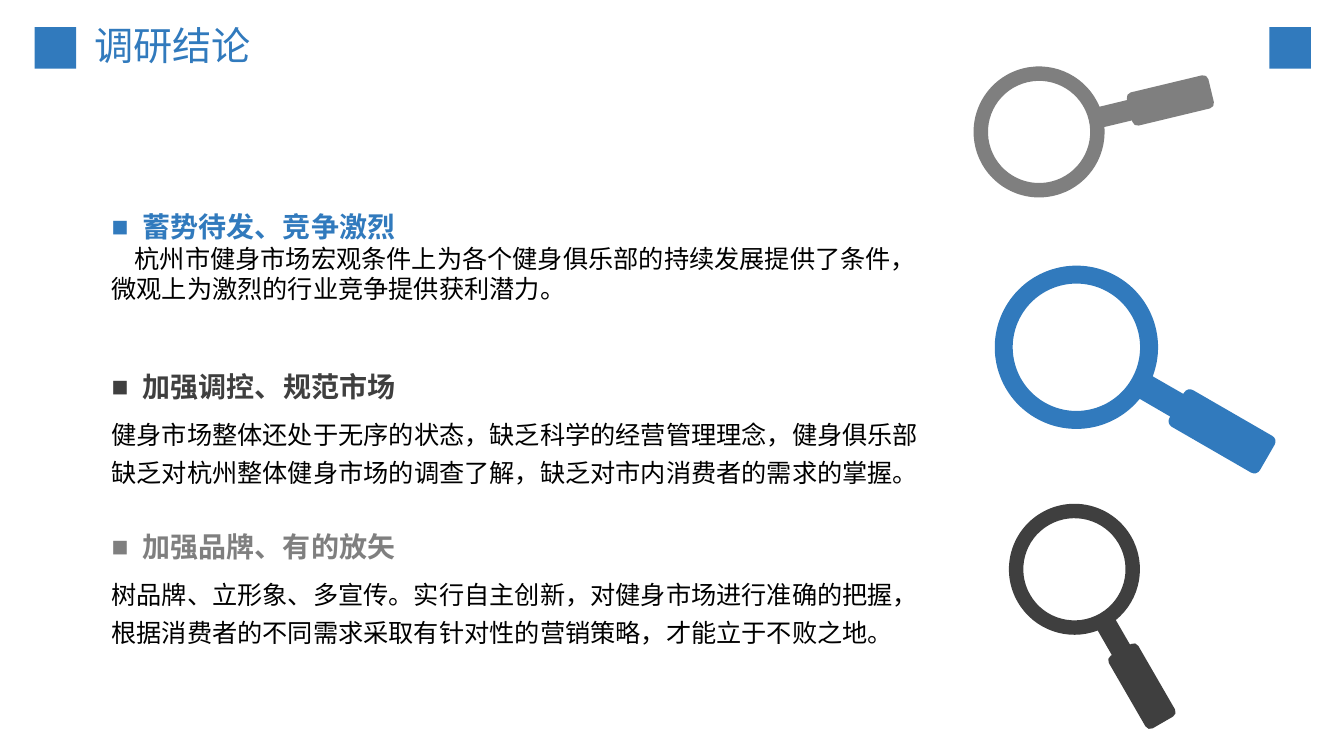
from dataclasses import dataclass
from math import cos, pi, sin, tan

from lxml.etree import SubElement
from pptx import Presentation
from pptx.dml.color import RGBColor
from pptx.enum.shapes import MSO_SHAPE as Preset
from pptx.enum.text import MSO_ANCHOR as Anchor, MSO_AUTO_SIZE as AutoSize, PP_ALIGN as Align
from pptx.oxml.ns import qn
from pptx.util import Inches, Pt

WIDTH, HEIGHT = Inches(13.33), Inches(7.5)


@dataclass(frozen=True)
class Theme:
    font: str = "Noto Sans CJK SC"
    bullet_font: str = "Arial"
    blue: str = "317ABD"
    dark: str = "3F3F3F"
    grey: str = "7F7F7F"
    black: str = "000000"
    title: int = 28
    heading: int = 20
    body: int = 18
    leading: float = 1.25
    gap: int = 6
    indent: float = 0.31


THEME = Theme()


def across(percent):
    return round(WIDTH * percent / 100)


def down(percent):
    return round(HEIGHT * percent / 100)


def paint(shape, colour):
    shape.shadow.inherit = False
    shape.fill.solid()
    shape.fill.fore_color.rgb = RGBColor.from_string(colour)
    shape.line.fill.background()


def add_span(para, text, size, colour, bold=False):
    span = para.add_run()
    span.text = text
    span.font.name = THEME.font
    span.font.size = Pt(size)
    span.font.bold = bold
    span.font.color.rgb = RGBColor.from_string(colour)
    SubElement(span.font._element, qn("a:ea"), typeface=THEME.font)


def indent(para, left, first):
    properties = para._p.get_or_add_pPr()
    properties.set("marL", str(Inches(left)))
    properties.set("indent", str(Inches(first)))
    return properties


def add_bullet(para):
    properties = indent(para, THEME.indent, -THEME.indent)
    SubElement(properties, qn("a:buFont"), typeface=THEME.bullet_font)
    SubElement(properties, qn("a:buChar"), char="■")


def add_corner_square(page, left):
    square = page.shapes.add_shape(
        Preset.RECTANGLE, across(left), down(3.6), across(3.08), across(3.08))
    paint(square, THEME.blue)


def add_title(page, text):
    box = page.shapes.add_textbox(0, down(2.8), across(25.7), down(7.07))
    frame = box.text_frame
    frame.word_wrap = False
    frame.vertical_anchor = Anchor.MIDDLE
    para = frame.paragraphs[0]
    para.alignment = Align.CENTER
    para.line_spacing = 0.9
    add_span(para, text, THEME.title, THEME.blue)


def add_conclusion(page, top, width, height, colour, heading, body, compact):
    box = page.shapes.add_textbox(across(8.3), down(top), across(width), down(height))
    frame = box.text_frame
    frame.word_wrap = True
    frame.auto_size = AutoSize.SHAPE_TO_FIT_TEXT
    frame.margin_left = frame.margin_right = 0
    title_para = frame.paragraphs[0]
    title_para.line_spacing = THEME.leading
    add_bullet(title_para)
    add_span(title_para, heading, THEME.heading, colour, True)
    body_para = frame.add_paragraph()
    if compact:
        indent(body_para, 0, 0.23)
    else:
        body_para.line_spacing = THEME.leading
        body_para.space_before = Pt(THEME.gap)
    add_span(body_para, body, THEME.body, THEME.black)


def on_circle(x, y, radius, angle):
    return x + radius * cos(angle), y + radius * sin(angle)


def curve(x, y, radius, start, end):
    reach = radius * 4 / 3 * tan((end - start) / 4)
    (x1, y1), (x2, y2) = (on_circle(x, y, radius, angle) for angle in (start, end))
    return [(x1 - reach * sin(start), y1 + reach * cos(start)),
            (x2 + reach * sin(end), y2 - reach * cos(end)),
            (x2, y2)]


def circle(radius, angles):
    start = on_circle(0.5, 0.5, radius, angles[0])
    return start, [curve(0.5, 0.5, radius, *pair) for pair in zip(angles, angles[1:])]


def handle():
    stem, grip, corner = 0.08, 0.13, 0.04
    top, bottom = 1.21, 1.85
    inner = grip - corner
    corners = [(inner, top + corner, -pi / 2), (inner, bottom - corner, 0),
               (-inner, bottom - corner, pi / 2), (-inner, top + corner, pi)]
    segments = [[(0.5 + stem, top)]]
    for x, y, angle in corners:
        segments.append([on_circle(0.5 + x, y, corner, angle)])
        segments.append(curve(0.5 + x, y, corner, angle, angle + pi / 2))
    return segments + [[(0.5 - stem, top)]]


def round_off(shape, segments):
    lines = iter(list(shape._element.iter(qn("a:lnTo"))))
    for segment in segments:
        first, *others = [next(lines) for _ in segment]
        if others:
            first.tag = qn("a:cubicBezTo")
        for other in others:
            first.append(other[0])
            other.getparent().remove(other)


def add_magnifier(page, left, top, width, rotation, colour):
    size = across(width)

    def scaled(points):
        return [(round(x * size), round(y * size)) for x, y in points]

    notch = 0.16
    rim_start, rim = circle(
        0.5, [pi / 2 + notch, pi, 3 * pi / 2, 2 * pi, 5 * pi / 2 - notch])
    lens_start, lens = circle(0.39, [2 * pi, 3 * pi / 2, pi, pi / 2, 0])
    outline = rim + handle()
    builder = page.shapes.build_freeform(*scaled([rim_start])[0])
    builder.add_line_segments(scaled(sum(outline, [])), close=True)
    builder.move_to(*scaled([lens_start])[0])
    builder.add_line_segments(scaled(sum(lens, [])), close=True)
    magnifier = builder.convert_to_shape(across(left), down(top))
    round_off(magnifier, outline + lens)
    magnifier.rotation = rotation
    paint(magnifier, colour)


def main():
    deck = Presentation()
    deck.slide_width, deck.slide_height = WIDTH, HEIGHT
    page = deck.slides.add_slide(deck.slide_layouts[6])
    for left in (2.58, 94.45):
        add_corner_square(page, left)
    add_title(page, "调研结论")

    conclusions = [
        (58.59, 15.07, THEME.blue, "蓄势待发、竞争激烈",
         "杭州市健身市场宏观条件上为各个健身俱乐部的持续发展提供了条件，"
         "微观上为激烈的行业竞争提供获利潜力。", True),
        (60.69, 18.13, THEME.dark, "加强调控、规范市场",
         "健身市场整体还处于无序的状态，缺乏科学的经营管理理念，健身俱乐部"
         "缺乏对杭州整体健身市场的调查了解，缺乏对市内消费者的需求的掌握。", False),
        (61.52, 18.13, THEME.grey, "加强品牌、有的放矢",
         "树品牌、立形象、多宣传。实行自主创新，对健身市场进行准确的把握，"
         "根据消费者的不同需求采取有针对性的营销策略，才能立于不败之地。", False),
    ]
    for row, conclusion in enumerate(conclusions):
        add_conclusion(page, 26 + 21.16 * row, *conclusion)

    add_magnifier(page, 76.47, -0.3, 9.75, 256.5, THEME.grey)
    add_magnifier(page, 77.14, 65.65, 9.75, 330, THEME.dark)
    add_magnifier(page, 78.49, 30.55, 12.15, 300, THEME.blue)
    deck.save("out.pptx")


if __name__ == "__main__":
    main()
